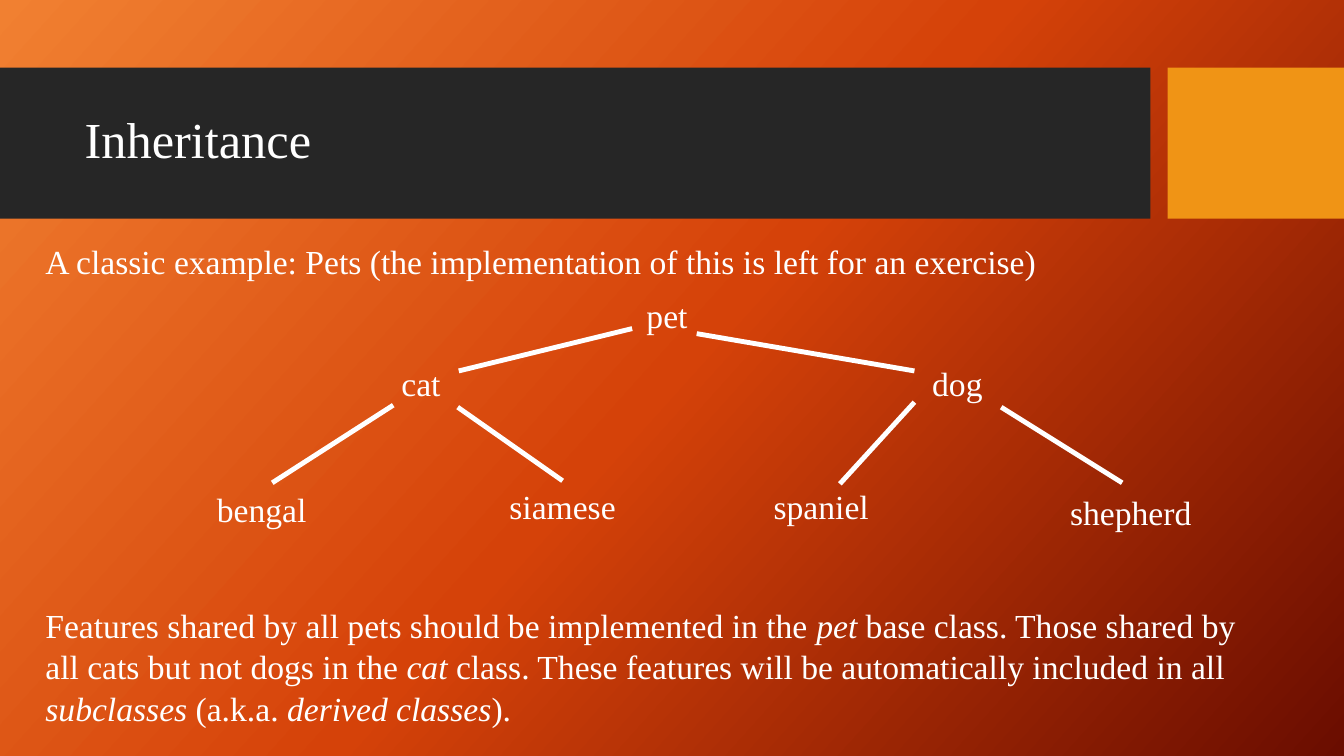
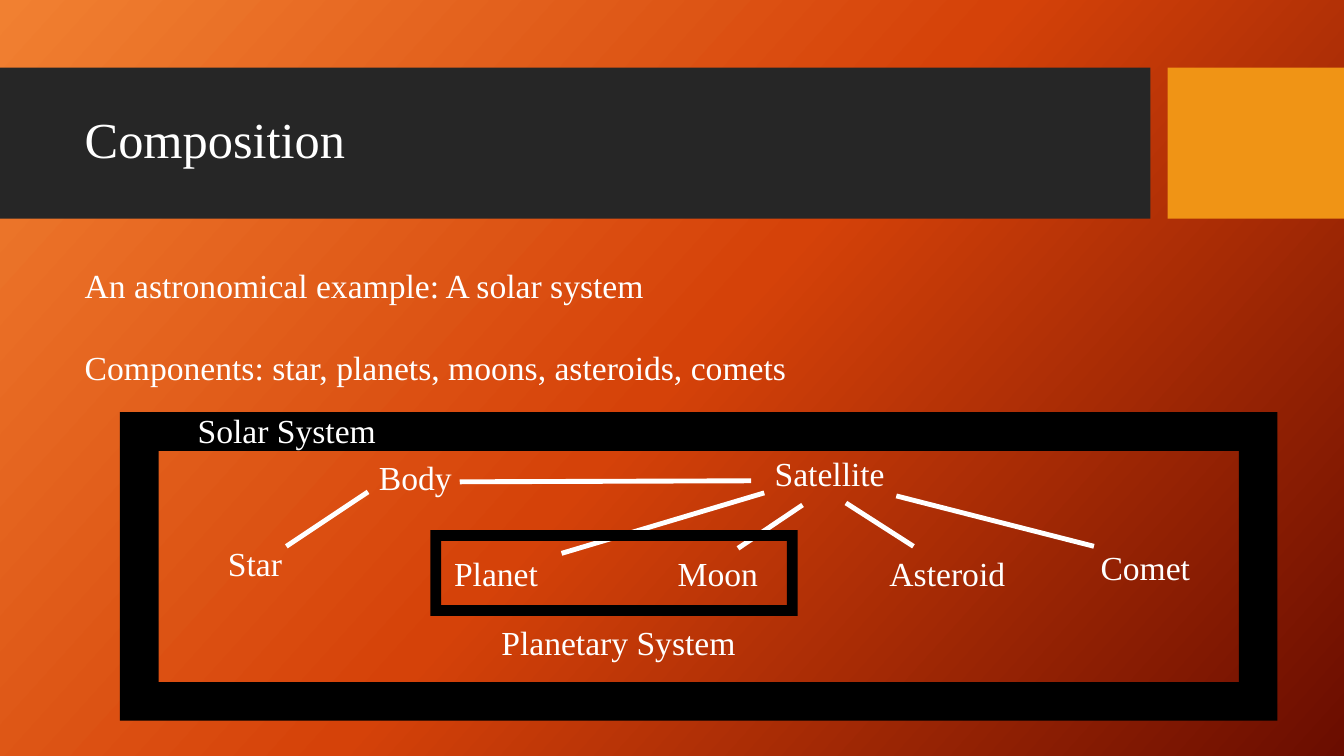
from copy import deepcopy

from lxml.etree import SubElement
from pptx import Presentation
from pptx.dml.color import RGBColor
from pptx.enum.shapes import MSO_CONNECTOR, MSO_SHAPE
from pptx.enum.text import MSO_AUTO_SIZE, PP_ALIGN
from pptx.oxml import parse_xml
from pptx.oxml.ns import nsdecls, qn
from pptx.util import Inches, Pt

COLORS = {
    "text": "FFFFFF",
    "band": "262626",
    "accent": "F09415",
    "frame": "000000",
    "bg_light": "F18031",
    "bg_mid": "D54209",
    "bg_dark": "6A0D00",
}
FONT = "Times New Roman"
LABEL_FORMAT = {"name": FONT, "size": Pt(24)}
BODY_FORMAT = {"word_wrap": True, "auto_size": MSO_AUTO_SIZE.NONE}
LABEL_HEIGHT = 0.5
BAND_TOP, BAND_HEIGHT = 0.67, 1.5
TITLE_BOX = (0.74, 0.82, 10.51, 1.18)


def rgb(name):
    return RGBColor.from_string(COLORS[name])


def apply_format(target, values):
    for name, value in values.items():
        setattr(target, name, value)


def place(shape, box):
    values = map(Inches, box)
    apply_format(shape, dict(zip(("left", "top", "width", "height"), values)))


def add_block(s, kind, box, color):
    sp = s.shapes.add_shape(kind, *map(Inches, box))
    sp.shadow.inherit = False
    sp.fill.solid()
    sp.fill.fore_color.rgb = rgb(color)
    sp.line.fill.background()
    return sp


def add_label(s, text, left, top, width):
    sp = s.shapes.add_textbox(*map(Inches, (left, top, width, LABEL_HEIGHT)))
    tf = sp.text_frame
    tf.word_wrap = True
    p = tf.paragraphs[0]
    p.alignment = PP_ALIGN.CENTER
    r = p.add_run()
    r.text = text
    apply_format(r.font, LABEL_FORMAT)
    r.font.color.rgb = rgb("text")
    return sp


def add_line(s, x1, y1, x2, y2):
    line = s.shapes.add_connector(
        MSO_CONNECTOR.STRAIGHT, *map(Inches, (x1, y1, x2, y2)))
    line.line.color.rgb = rgb("text")
    line.line.width = Pt(3.5)
    SubElement(line.element.spPr, qn("a:effectLst"))
    return line


def style_background(master):
    fill = master.background.fill
    fill.gradient()
    fill.gradient_angle = 360 - 42
    stops = master.element.find(".//" + qn("a:gsLst"))
    stops.append(deepcopy(stops[-1]))
    names = ("bg_light", "bg_mid", "bg_dark")
    for i, (stop, name) in enumerate(zip(fill.gradient_stops, names)):
        stop.position = i / 2
        stop.color.rgb = rgb(name)


def style_text(master, tag, size, spacing):
    """Set the first-level style of the master's titles or body text."""
    style = master.element.find(".//" + qn(tag))
    level = parse_xml(
        f'<a:lvl1pPr {nsdecls("a")} marL="0" indent="0" algn="l">'
        f'<a:lnSpc><a:spcPct val="{spacing * 1000}"/></a:lnSpc>'
        '<a:spcBef><a:spcPts val="0"/></a:spcBef><a:buNone/>'
        f'<a:defRPr sz="{size * 100}"><a:solidFill>'
        f'<a:srgbClr val="{COLORS["text"]}"/></a:solidFill>'
        f'<a:latin typeface="{FONT}"/></a:defRPr></a:lvl1pPr>')
    style.replace(style.find(qn("a:lvl1pPr")), level)


def add_master_bands(master, s):
    """Draw the bands on a slide, then move them behind the master's parts."""
    bands = ((0, 11.41, "band"), (11.58, 1.75, "accent"))
    for i, (left, width, color) in enumerate(bands):
        box = (left, BAND_TOP, width, BAND_HEIGHT)
        sp = add_block(s, MSO_SHAPE.RECTANGLE, box, color)
        sp.element.find(".//" + qn("p:cNvPr")).set("id", str(20 + i))
        master.shapes.element.insert(2 + i, sp.element)


def add_slide(prs, layout, title, body_box, paragraphs, gap):
    """Add a slide; asterisks in its paragraphs enclose italic words."""
    s = prs.slides.add_slide(layout)
    s.shapes.title.text = title
    body = s.placeholders[1]
    place(body, body_box)
    tf = body.text_frame
    apply_format(tf, BODY_FORMAT)
    for i, text in enumerate(paragraphs):
        p = tf.add_paragraph() if i else tf.paragraphs[0]
        if i:
            p.space_before = Pt(gap)
        for j, part in enumerate(text.split("*")):
            r = p.add_run()
            r.text = part
            if j % 2:
                r.font.italic = True
    return s


def draw_pet_tree(s):
    labels = {text: add_label(s, text, *box) for text, *box in (
        ("cat", 1.3, 3.55, 5.75),
        ("pet", 3.74, 2.88, 5.75),
        ("dog", 6.62, 3.55, 5.75),
        ("spaniel", 7.26, 4.77, 1.77),
        ("shepherd", 10.35, 4.83, 1.73),
        ("bengal", 1.8, 4.8, 1.59),
        ("siamese", 4.76, 4.77, 1.64),
    )}
    for ends in (
        (6.27, 3.26, 4.55, 3.68),
        (6.91, 3.31, 9.07, 3.68),
        (3.9, 4.02, 2.7, 4.79),
        (9.93, 4.04, 11.13, 4.79),
        (9.07, 3.99, 8.33, 4.8),
    ):
        add_line(s, *ends)
    to_siamese = add_line(s, 4.54, 4.04, 5.58, 4.77)
    to_siamese.end_connect(labels["siamese"], 0)


def draw_solar_system(s):
    for ends in (
        (7.58, 4.89, 5.57, 5.49),
        (7.96, 5.01, 7.32, 5.44),
        (8.39, 4.99, 9.06, 5.42),
        (8.89, 4.92, 10.85, 5.42),
        (3.65, 4.88, 2.84, 5.42),
        (7.45, 4.77, 4.56, 4.78),
    ):
        add_line(s, *ends)
    for box in ((1.19, 4.09, 11.48, 3.06), (4.27, 5.26, 3.64, 0.85)):
        add_block(s, MSO_SHAPE.FRAME, box, "frame")
    for label in (
        ("Solar System", 1.53, 4.02, 2.63),
        ("Body", 3.47, 4.48, 1.3),
        ("Satellite", 7.58, 4.44, 1.3),
        ("Star", 1.88, 5.34, 1.3),
        ("Planet", 4.27, 5.44, 1.3),
        ("Moon", 6.47, 5.44, 1.3),
        ("Asteroid", 8.67, 5.44, 1.45),
        ("Comet", 10.71, 5.38, 1.3),
        ("Planetary System", 4.82, 6.12, 2.63),
    ):
        add_label(s, *label)


def main():
    prs = Presentation()
    prs.slide_width, prs.slide_height = Inches(13.33), Inches(7.5)
    master, layout = prs.slide_master, prs.slide_layouts[1]
    style_background(master)
    style_text(master, "p:titleStyle", 36, 90)
    style_text(master, "p:bodyStyle", 24, 104)
    place(layout.placeholders[0], TITLE_BOX)

    inheritance = add_slide(
        prs, layout, "Inheritance", (0.35, 2.32, 12.24, 5.18),
        ("A classic example: Pets (the implementation of this is left for an "
         "exercise)",
         "Features shared by all pets should be implemented in the *pet* base "
         "class. Those shared by all cats but not dogs in the *cat* class. "
         "These features will be automatically included in all *subclasses* "
         "(a.k.a. *derived classes*)."),
        gap=230)
    add_master_bands(master, inheritance)
    draw_pet_tree(inheritance)

    composition = add_slide(
        prs, layout, "Composition", (0.74, 2.56, 10.51, 3.94),
        ("An astronomical example: A solar system",
         "Components: star, planets, moons, asteroids, comets"),
        gap=29)
    draw_solar_system(composition)
    prs.save("out.pptx")


if __name__ == "__main__":
    main()
